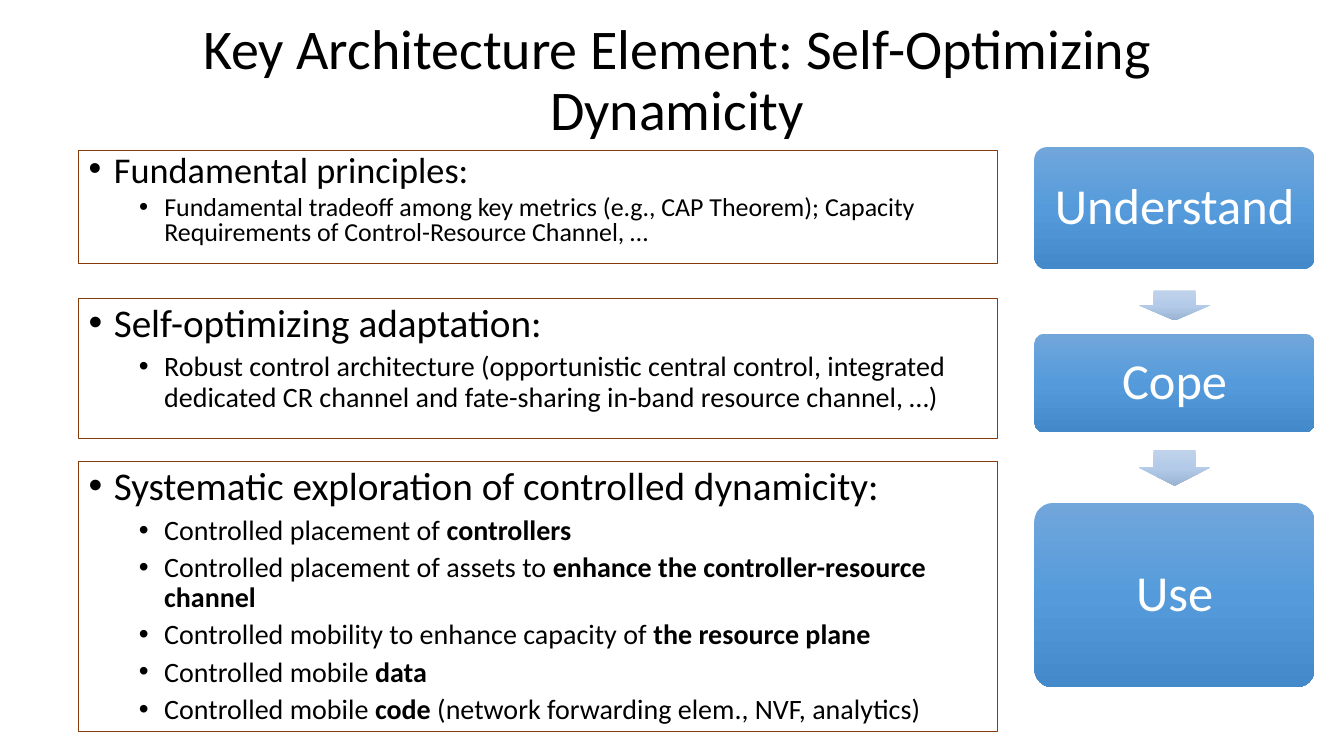
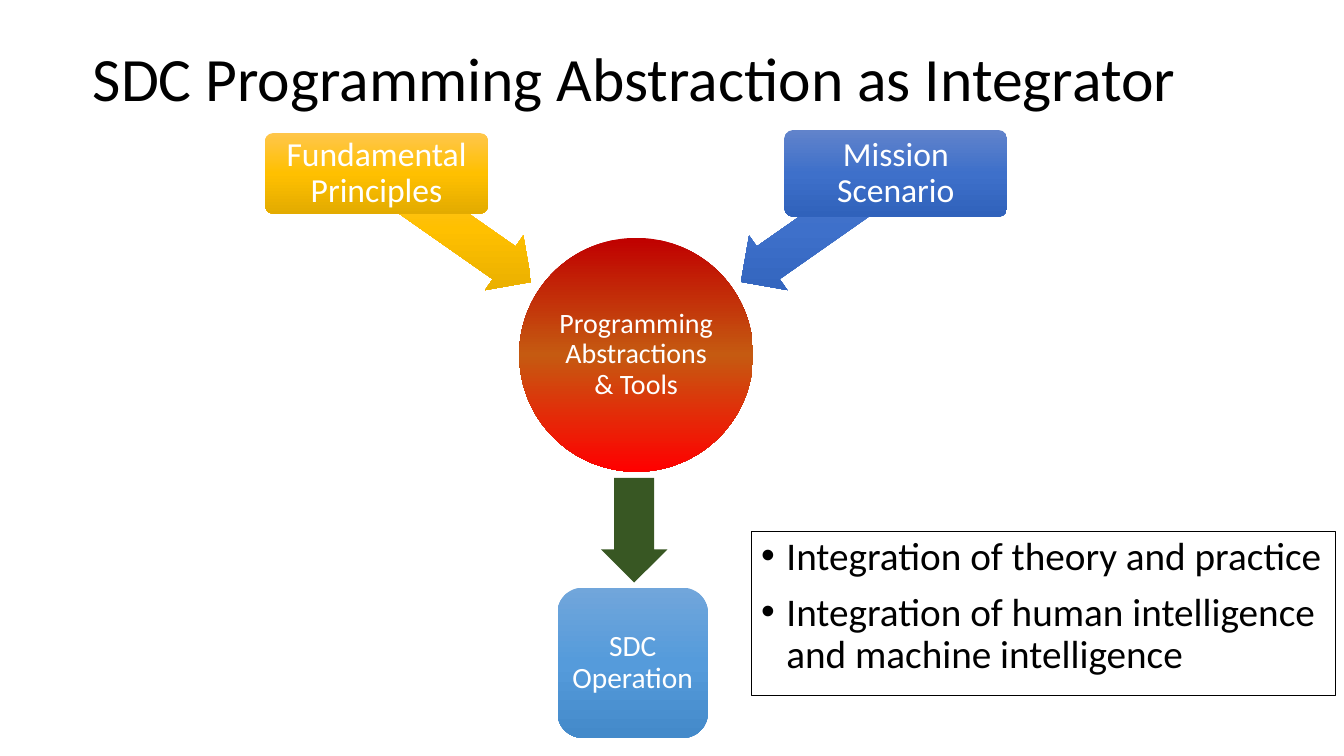
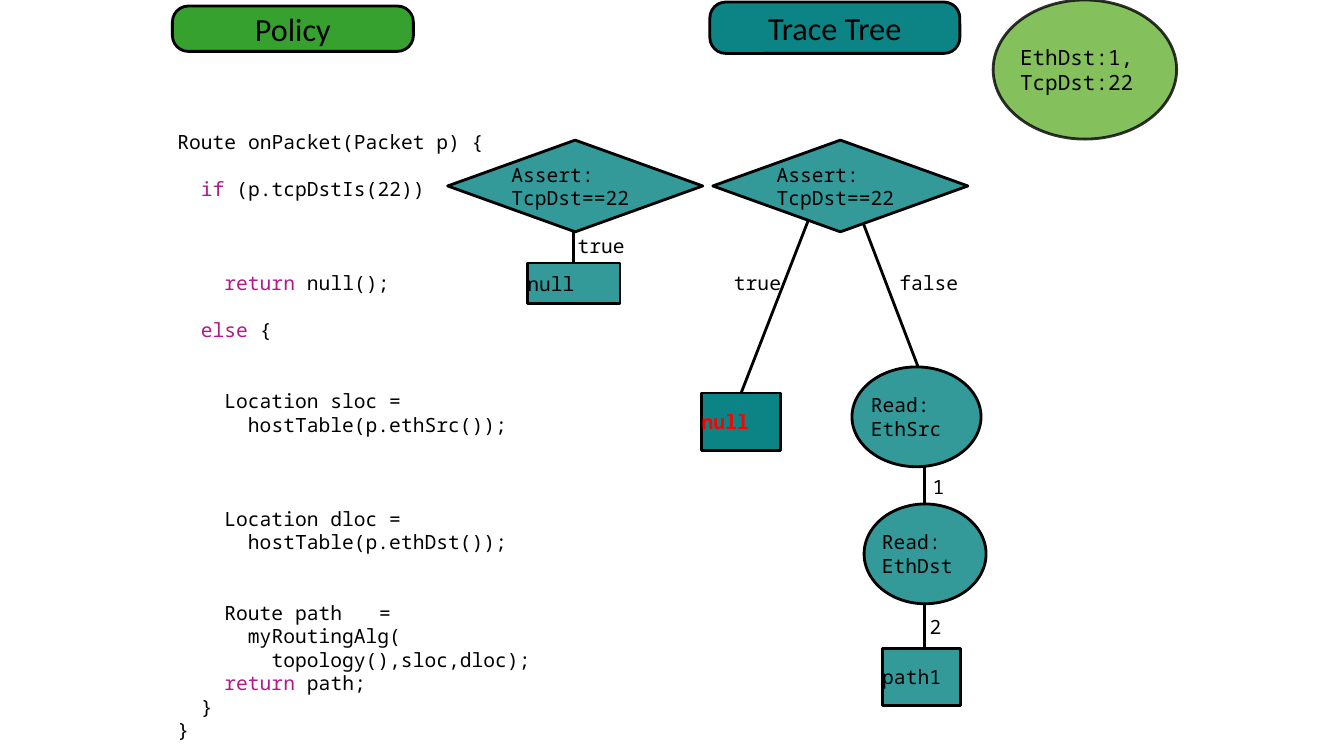
from copy import deepcopy
from dataclasses import dataclass
from typing import Optional

from lxml import etree
from pptx import Presentation
from pptx import util as u
from pptx.dml.color import RGBColor
from pptx.enum import shapes, text
from pptx.oxml.ns import qn

SCALE = 9144  # EMU per px, 100 px to the inch
KIND = shapes.MSO_SHAPE
LEFT, CENTER = text.PP_ALIGN.LEFT, text.PP_ALIGN.CENTER
KEYWORDS = ("if", "else", "return")
Box = tuple[int, int, int, int]
Colors = tuple[str, ...]


@dataclass(frozen=True)
class Theme:
    sans: str = "Calibri"
    mono: str = "Noto Sans Mono"
    ink: str = "000000"
    white: str = "FFFFFF"
    brown: str = "843C0B"
    keyword: str = "B21889"
    alert: str = "FF0000"
    teal: str = "339999"
    deep_teal: str = "0C8385"
    policy: str = "37A130"
    packet: str = "66B132"
    down: str = "385723"
    blue: Colors = ("71A6DB", "559BDB", "448ACA")
    pale: Colors = ("C0D2EB", "B3CBE9", "9BB4D3")
    gold: Colors = ("FFC64B", "FFC000", "E3AB00")
    royal: Colors = ("6183CB", "3E70CA", "3062BB")
    fire: Colors = ("C00000", "C55A11", "FF0000")
    title: int = 44
    long_title: int = 40
    list_sizes: tuple[float, float] = (28, 20)
    tight_sizes: tuple[float, float] = (25.9, 18.5)
    stage: int = 36
    header: int = 23
    code: int = 14
    packet_size: int = 15
    mono_leading: float = 1.2
    mono_width: float = 0.6


T = Theme()


@dataclass(frozen=True)
class Bullet:
    """A list line; words between asterisks are bold."""
    text: str
    level: int = 0


@dataclass(frozen=True)
class Block:
    """A filled shape with centred white text."""
    kind: KIND
    box: Box
    colors: Colors
    text: str = ""
    size: int = 0
    inset: int = 0
    adj: tuple[float, ...] = ()
    rotation: int = 0


@dataclass(frozen=True)
class Node:
    kind: KIND
    box: Box
    text: str
    fill: str = T.teal
    color: str = T.ink
    bold: bool = False
    size: int = T.code
    alpha: int = 100


@dataclass(frozen=True)
class Edge:
    start: tuple[int, int]
    end: tuple[int, int]
    leaf: Optional[int] = None


@dataclass(frozen=True)
class CodeLine:
    text: str
    level: int = 0
    gap: int = 0


def px(n: int) -> u.Emu:
    return u.Emu(n * SCALE)


def rgb(color: str) -> RGBColor:
    return RGBColor.from_string(color)


def place(sp, box: Box) -> None:
    sp.left, sp.top, sp.width, sp.height = map(px, box)


def style_run(r, size: float, color: str = T.ink, font: str = T.sans, bold: bool = False) -> None:
    r.font.name, r.font.size, r.font.bold = font, u.Pt(size), bold
    r.font.color.rgb = rgb(color)


def set_frame(tf, inset_x: int = 0, inset_y: int = 0, anchor=text.MSO_ANCHOR.MIDDLE) -> None:
    tf.word_wrap, tf.auto_size, tf.vertical_anchor = True, text.MSO_AUTO_SIZE.NONE, anchor
    tf.margin_left = tf.margin_right = px(inset_x)
    tf.margin_top = tf.margin_bottom = px(inset_y)


def add_shape(slide, kind: KIND, box: Box, adj: tuple[float, ...] = ()):
    sp = slide.shapes.add_shape(kind, *map(px, box))
    sp.shadow.inherit = False
    for i, value in enumerate(adj):
        sp.adjustments[i] = value
    return sp


def outline(sp, color: str, width: float) -> None:
    sp.line.color.rgb = rgb(color)
    sp.line.width = u.Pt(width)


def fill_shape(sp, colors: Colors) -> None:
    """Fill with one colour, or with a top-to-bottom gradient of three."""
    if len(colors) == 1:
        sp.fill.solid()
        sp.fill.fore_color.rgb = rgb(colors[0])
        return
    sp.fill.gradient()
    sp.fill.gradient_angle = 270
    grad = sp.element.spPr.find(qn("a:gradFill"))
    grad.set("rotWithShape", "0")
    stops = grad.find(qn("a:gsLst"))
    stops.append(deepcopy(stops[0]))
    for i, (stop, color) in enumerate(zip(sp.fill.gradient_stops, colors)):
        stop.position = i / 2
        stop.color.rgb = rgb(color)


def set_title(slide, words: str, box: Box, size: int, align=CENTER) -> None:
    sp = slide.shapes.title
    place(sp, box)
    set_frame(sp.text_frame, 10, 5)
    sp.text_frame.text = words
    p = sp.text_frame.paragraphs[0]
    p.alignment, p.line_spacing = align, 0.9
    style_run(p.runs[0], size)


def fill_list(sp, bullets: tuple[Bullet, ...], line: str,
              sizes: tuple[float, float] = T.list_sizes, leading: float = 0.9) -> None:
    """Turn a shape or body placeholder into an outlined bullet list."""
    sp.fill.background()
    outline(sp, line, 0.75)
    tf = sp.text_frame
    set_frame(tf, 10, 5, text.MSO_ANCHOR.TOP)
    for i, bullet in enumerate(bullets):
        p = tf.add_paragraph() if i else tf.paragraphs[0]
        p.level, p.alignment, p.line_spacing = bullet.level, LEFT, leading
        p.space_before = u.Pt(5 if bullet.level else 10)
        pPr = p._p.get_or_add_pPr()
        pPr.set("marL", str(px(25 + 50 * bullet.level)))
        pPr.set("indent", str(px(-25)))
        etree.SubElement(pPr, qn("a:buFont")).set("typeface", "Arial")
        etree.SubElement(pPr, qn("a:buChar")).set("char", "•")
        for k, part in enumerate(bullet.text.split("*")):
            if part:
                r = p.add_run()
                r.text = part
                style_run(r, sizes[bullet.level], bold=k % 2 == 1)


def add_block(slide, block: Block) -> None:
    sp = add_shape(slide, block.kind, block.box, block.adj)
    sp.rotation = block.rotation
    fill_shape(sp, block.colors)
    sp.line.fill.background()
    if block.text:
        set_frame(sp.text_frame, block.inset, block.inset)
        sp.text_frame.text = block.text
        p = sp.text_frame.paragraphs[0]
        p.alignment, p.line_spacing = CENTER, 0.9
        style_run(p.runs[0], block.size, T.white)


def set_mono(tf, words: str, size: int = T.code, color: str = T.ink, bold: bool = False) -> None:
    set_frame(tf)
    tf.text = words
    for p in tf.paragraphs:
        p.alignment, p.line_spacing = LEFT, u.Pt(size * T.mono_leading)
        for r in p.runs:
            style_run(r, size, color, T.mono, bold)


def add_node(slide, node: Node):
    sp = add_shape(slide, node.kind, node.box)
    fill_shape(sp, (node.fill,))
    outline(sp, T.ink, 2)
    if node.alpha < 100:
        for color in sp.element.spPr.iter(qn("a:srgbClr")):
            etree.SubElement(color, qn("a:alpha")).set("val", str(node.alpha * 1000))
    set_mono(sp.text_frame, node.text, node.size, node.color, node.bold)
    return sp


def add_edge(slide, edge: Edge, leaves: list) -> None:
    line = slide.shapes.add_connector(shapes.MSO_CONNECTOR.STRAIGHT,
                                      *map(px, edge.start + edge.end))
    outline(line, T.ink, 2)
    etree.SubElement(line.element.spPr, qn("a:effectLst"))
    if edge.leaf is not None:
        line.end_connect(leaves[edge.leaf], 0)


def add_header(slide, words: str, box: Box, fill: str, corner: float) -> None:
    sp = add_shape(slide, KIND.ROUNDED_RECTANGLE, box, (corner,))
    fill_shape(sp, (fill,))
    outline(sp, T.ink, 2)
    set_frame(sp.text_frame)
    sp.text_frame.text = words
    p = sp.text_frame.paragraphs[0]
    p.alignment = CENTER
    style_run(p.runs[0], T.header)


def add_code(slide, box: Box, lines: tuple[CodeLine, ...]) -> None:
    """Draw code with levels as indents and skipped lines as space before."""
    tf = slide.shapes.add_textbox(*map(px, box)).text_frame
    set_frame(tf)
    leading, char = T.code * T.mono_leading, T.code * T.mono_width
    for i, line in enumerate(lines):
        p = tf.add_paragraph() if i else tf.paragraphs[0]
        p.line_spacing, p.space_before = u.Pt(leading), u.Pt(line.gap * leading)
        pPr = p._p.get_or_add_pPr()
        pPr.set("marL", "0")
        pPr.set("indent", str(u.Pt(2 * line.level * char)))
        if "\t" in line.text:
            tab = etree.SubElement(etree.SubElement(pPr, qn("a:tabLst")), qn("a:tab"))
            tab.set("pos", str(u.Pt(18 * char)))
            tab.set("algn", "l")
        word, space, rest = line.text.partition(" ")
        parts = (((word, T.keyword), (space + rest, T.ink)) if word in KEYWORDS
                 else ((line.text, T.ink),))
        for part, color in parts:
            r = p.add_run()
            r.text = part
            style_run(r, T.code, color, T.mono)


def build_dynamicity(prs) -> None:
    slide = prs.slides.add_slide(prs.slide_layouts[1])
    set_title(slide, "Key Architecture Element: Self-Optimizing Dynamicity",
              (62, 40, 1219, 82), T.long_title)
    principles = slide.placeholders[1]
    place(principles, (78, 149, 911, 112))
    fill_list(principles, (
        Bullet("Fundamental principles:"),
        Bullet("Fundamental tradeoff among key metrics (e.g., CAP Theorem); Capacity "
               "Requirements of Control-Resource Channel, …", 1),
    ), T.brown, T.tight_sizes, 0.8)
    panels = (
        (296, 139, (
            Bullet("Self-optimizing adaptation:"),
            Bullet("Robust control architecture (opportunistic central control, integrated "
                   "dedicated CR channel and fate-sharing in-band resource channel, …)", 1))),
        (458, 268, (
            Bullet("Systematic exploration of controlled dynamicity:"),
            Bullet("Controlled placement of *controllers*", 1),
            Bullet("Controlled placement of assets to *enhance the controller-resource channel*", 1),
            Bullet("Controlled mobility to enhance capacity of *the resource plane*", 1),
            Bullet("Controlled mobile *data*", 1),
            Bullet("Controlled mobile *code* (network forwarding elem., NVF, analytics)", 1))),
    )
    for top, height, bullets in panels:
        fill_list(add_shape(slide, KIND.RECTANGLE, (78, top, 911, height)), bullets, T.brown)
    for words, top, height in (("Understand", 146, 121), ("Cope", 331, 98), ("Use", 499, 183)):
        add_block(slide, Block(KIND.ROUNDED_RECTANGLE, (1026, top, 278, height), T.blue,
                               words, T.stage, 15, (0.1,)))
    for top, height in ((288, 30), (446, 36)):
        add_block(slide, Block(KIND.DOWN_ARROW, (1130, top, 70, height), T.pale, adj=(0.6, 0.5)))


def build_integrator(prs) -> None:
    slide = prs.slides.add_slide(prs.slide_layouts[1])
    set_title(slide, "SDC Programming Abstraction as Integrator",
              (82, 34, 1150, 93), T.title, LEFT)
    arrow, rounded = (0.6, 0.5), KIND.ROUNDED_RECTANGLE
    for block in (
        Block(KIND.DOWN_ARROW, (596, 474, 66, 104), (T.down,), adj=arrow),
        Block(KIND.OVAL, (515, 236, 232, 232), T.fire, "Programming Abstractions & Tools", 20, 1),
        Block(KIND.LEFT_ARROW, (357, 193, 187, 66), T.gold, adj=arrow, rotation=215),
        Block(rounded, (263, 132, 221, 80), T.gold, "Fundamental Principles", 24, 5, (0.1,)),
        Block(KIND.LEFT_ARROW, (718, 193, 187, 66), T.royal, adj=arrow, rotation=325),
        Block(rounded, (778, 129, 221, 86), T.royal, "Mission Scenario", 24, 5, (0.1,)),
        Block(rounded, (553, 583, 149, 149), T.blue, "SDC Operation", 21, 6),
    ):
        add_block(slide, block)
    goals = slide.placeholders[1]
    place(goals, (745, 527, 580, 163))
    fill_list(goals, (
        Bullet("Integration of theory and practice"),
        Bullet("Integration of human intelligence and machine intelligence"),
    ), T.ink)


def build_trace_tree(prs) -> None:
    slide = prs.slides.add_slide(prs.slide_layouts[6])
    add_header(slide, "Policy", (171, 6, 239, 45), T.policy, 0.35)
    add_header(slide, "Trace Tree", (704, 2, 248, 51), T.deep_teal, 0.31)
    leaves = [add_node(slide, node) for node in (
        Node(KIND.RECTANGLE, (523, 261, 92, 40), "null"),
        Node(KIND.RECTANGLE, (696, 390, 78, 57), "null", T.deep_teal, T.alert, True),
    )]
    for edge in (
        Edge((569, 225), (569, 261), 0),
        Edge((805, 210), (735, 390), 1),
        Edge((856, 221), (919, 386)),
        Edge((917, 452), (917, 511)),
        Edge((917, 577), (917, 667)),
    ):
        add_edge(slide, edge, leaves)
    for node in (
        Node(KIND.OVAL, (985, 0, 182, 138), "EthDst:1,\nTcpDst:22", T.packet,
             size=T.packet_size, alpha=80),
        Node(KIND.DIAMOND, (444, 139, 253, 91), "Assert:\vTcpDst==22"),
        Node(KIND.DIAMOND, (707, 139, 253, 91), "Assert:\vTcpDst==22"),
        Node(KIND.OVAL, (845, 364, 128, 99), "Read:\vEthSrc"),
        Node(KIND.OVAL, (857, 500, 121, 99), "Read:\vEthDst"),
        Node(KIND.RECTANGLE, (875, 643, 78, 57), "path1"),
    ):
        add_node(slide, node)
    for words, left, top in (("true", 573, 232), ("true", 728, 268), ("false", 892, 268),
                             ("1", 925, 471), ("2", 922, 610)):
        label = slide.shapes.add_textbox(*map(px, (left, top, 70, 24)))
        set_mono(label.text_frame, words)
    add_code(slide, (176, 120, 380, 625), (
        CodeLine("Route onPacket(Packet p) {"),
        CodeLine("if (p.tcpDstIs(22))", 1, 1),
        CodeLine("return null();", 2, 3),
        CodeLine("else {", 1, 1),
        CodeLine("Location sloc =", 2, 2),
        CodeLine("hostTable(p.ethSrc());", 3),
        CodeLine("Location dloc =", 2, 3),
        CodeLine("hostTable(p.ethDst());", 3),
        CodeLine("Route path\t=", 2, 2),
        CodeLine("myRoutingAlg(", 3),
        CodeLine("topology(),sloc,dloc);", 4),
        CodeLine("return path;", 2),
        CodeLine("}", 1),
        CodeLine("}"),
    ))


def main() -> None:
    prs = Presentation()
    prs.slide_width, prs.slide_height = px(1333), px(750)
    for build in (build_dynamicity, build_integrator, build_trace_tree):
        build(prs)
    prs.save("out.pptx")


if __name__ == "__main__":
    main()
